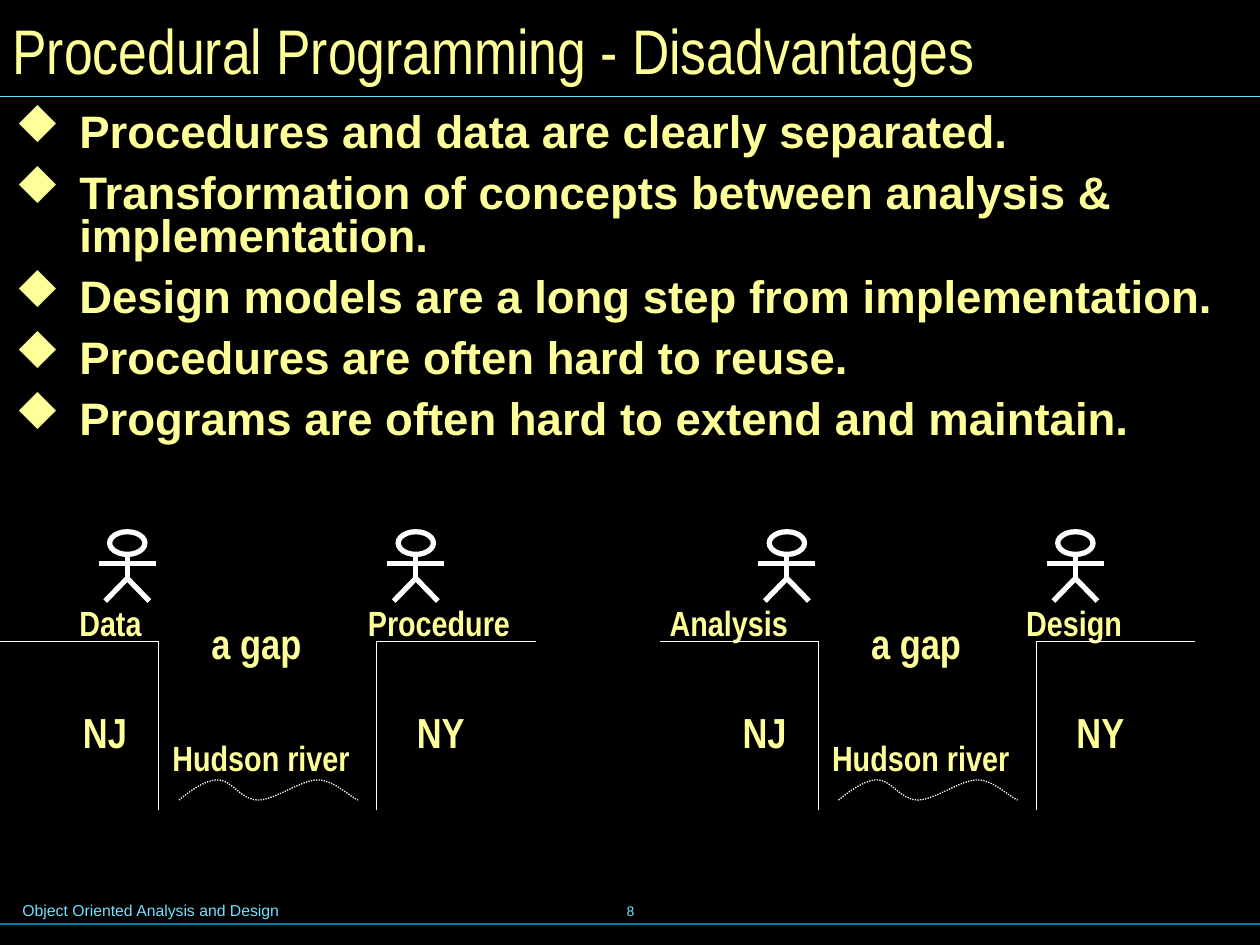
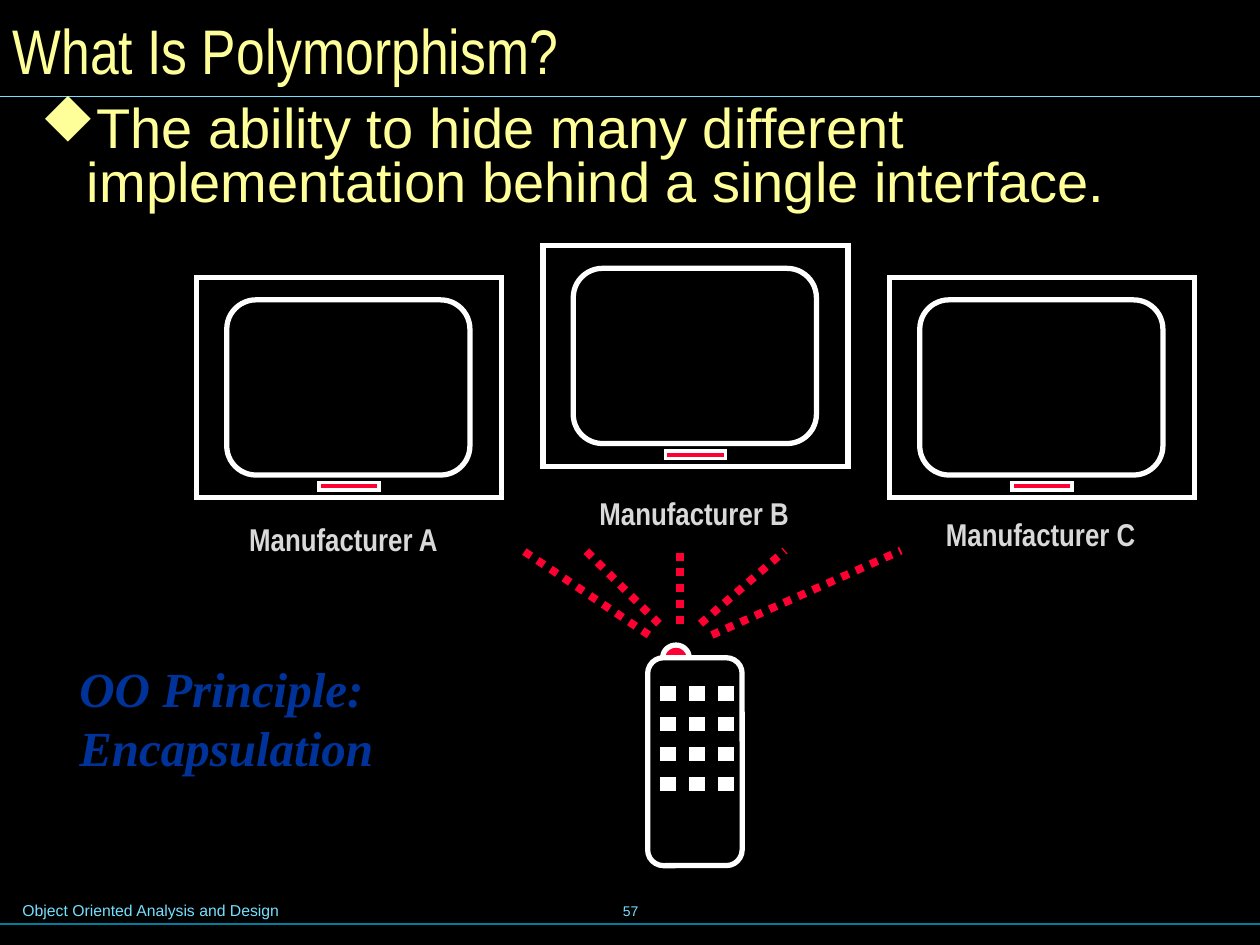
from dataclasses import dataclass
from itertools import product
from math import cos, pi, sin

from lxml.etree import SubElement
from pptx import Presentation
from pptx.dml.color import RGBColor
from pptx.enum.dml import MSO_LINE
from pptx.enum.shapes import MSO_CONNECTOR, MSO_SHAPE
from pptx.enum.text import MSO_ANCHOR, MSO_AUTO_SIZE, PP_ALIGN
from pptx.oxml.ns import qn
from pptx.util import Emu, Pt

COLS, ROWS = 100, 75
CELL = 91440  # one grid cell, a tenth of an inch


def emu(cells):
    return Emu(round(cells * CELL))


@dataclass(frozen=True)
class Theme:
    # Colours
    back: str = "000000"
    text: str = "FFFF99"
    white: str = "FFFFFF"
    sky: str = "73E1FF"
    teal: str = "007E9F"
    red: str = "FF0033"
    grey: str = "D9D9D9"
    blue: str = "003399"
    # Fonts
    sans: str = "Arial"
    slim: str = "Arial Narrow"
    serif: str = "Times New Roman"
    # Bullet: this letter is a solid diamond in the symbol font
    signs: str = "Wingdings"
    mark: str = "u"
    # Type sizes
    title: int = 36
    lead: int = 32
    quote: int = 28
    body: int = 26
    big: int = 24
    label: int = 20
    maker: int = 18
    foot: int = 9
    page: int = 8
    # Line widths
    thin: float = 0.75
    bold: float = 3
    beam: float = 4.5


class Deck:
    def __init__(self, theme):
        self.theme = theme
        self.prs = Presentation()
        self.prs.slide_width, self.prs.slide_height = emu(COLS), emu(ROWS)
        self.slide = self.host = None

    def page(self, title, number):
        """Start a slide with its title, rules and footer."""
        t = self.theme
        self.slide = self.prs.slides.add_slide(self.prs.slide_layouts[5])
        self.host = self.slide.shapes
        fill = self.slide.background.fill
        fill.solid()
        fill.fore_color.rgb = RGBColor.from_string(t.back)

        self.text((0.8, 71, 51, 2.5), "Object Oriented Analysis and Design",
                  t.foot, t.sans, t.sky)
        box = self.text((34.2, 69.8, 31.7, 5), str(number), t.page, t.sans, t.sky)
        box.text_frame.vertical_anchor = MSO_ANCHOR.MIDDLE
        box.text_frame.paragraphs[0].alignment = PP_ALIGN.CENTER
        self.line((0, 73.33), (COLS, 73.33), t.teal, t.thin)
        self.line((0, 7.64), (COLS, 7.64), t.sky, t.thin)

        head = self.slide.shapes.title
        head.left, head.top, head.width, head.height = map(emu, (0, 0, COLS, 7.8))
        frame = self.frame(head, 1, 0.5)
        frame.vertical_anchor = MSO_ANCHOR.MIDDLE
        frame.paragraphs[0].alignment = PP_ALIGN.LEFT
        self.run(frame.paragraphs[0], title, t.title, t.slim, t.text)

    def group(self):
        """Send the next parts to a new group."""
        self.host = self.slide.shapes.add_group_shape().shapes

    def frame(self, shape, side, edge, wrap=True):
        frame = shape.text_frame
        frame.word_wrap = wrap
        frame.auto_size = MSO_AUTO_SIZE.NONE
        frame.margin_left = frame.margin_right = emu(side)
        frame.margin_top = frame.margin_bottom = emu(edge)
        return frame

    def run(self, para, words, size, face, color, bold=False, slant=False):
        run = para.add_run()
        run.text = words
        font = run.font
        font.size, font.name, font.bold, font.italic = Pt(size), face, bold, slant
        font.color.rgb = RGBColor.from_string(color)

    def text(self, place, words, size, face, color, bold=False, slant=False,
             side=1, edge=0.5, wrap=True):
        box = self.host.add_textbox(*map(emu, place))
        para = self.frame(box, side, edge, wrap).paragraphs[0]
        for i, part in enumerate(words.split("\n")):
            if i:
                para.add_line_break()
            self.run(para, part, size, face, color, bold, slant)
        return box

    def label(self, place, words, size, color=None, side=1, edge=0.5):
        t = self.theme
        self.text(place, words, size, t.slim, color or t.text, True,
                  side=side, edge=edge, wrap=False)

    def list(self, place, items, size, hang, gap=0, bold=False):
        t = self.theme
        frame = self.frame(self.host.add_textbox(*map(emu, place)), 1.2, 0.6)
        for i, item in enumerate(items):
            para = frame.add_paragraph() if i else frame.paragraphs[0]
            props = para._p.get_or_add_pPr()
            props.set("marL", str(emu(hang)))
            props.set("indent", str(-emu(hang)))
            tint = SubElement(props, qn("a:buClr"))
            SubElement(tint, qn("a:srgbClr"), val=t.text)
            SubElement(props, qn("a:buFont"), typeface=t.signs, charset="2")
            SubElement(props, qn("a:buChar"), char=t.mark)
            para.line_spacing = 0.8
            para.space_before = Pt(gap if i else 0)
            self.run(para, item, size, t.sans, t.text, bold)

    def stroke(self, shape, color, width, dots=False):
        shape.line.color.rgb = RGBColor.from_string(color)
        shape.line.width = Pt(width)
        if dots:
            shape.line.dash_style = MSO_LINE.ROUND_DOT

    def paint(self, shape, width, fill=None, dots=False):
        shape.shadow.inherit = False
        if fill:
            shape.fill.solid()
            shape.fill.fore_color.rgb = RGBColor.from_string(fill)
        else:
            shape.fill.background()
        self.stroke(shape, self.theme.white, width, dots)
        edge = shape.element.spPr.find(qn("a:ln"))
        SubElement(edge, qn("a:miter"), lim="800000")

    def line(self, start, end, color, width, dots=False):
        link = self.host.add_connector(
            MSO_CONNECTOR.STRAIGHT, *map(emu, (*start, *end)))
        self.stroke(link, color, width, dots)
        SubElement(link.element.spPr, qn("a:effectLst"))

    def shape(self, kind, place, width, fill=None, turn=None):
        shape = self.host.add_shape(kind, *map(emu, place))
        if turn:
            shape.adjustments[0] = turn
        self.paint(shape, width, fill)

    def curve(self, points, width, fill=None, dots=False):
        spots = [(emu(x), emu(y)) for x, y in points]
        pen = self.host.build_freeform(*spots[0])
        pen.add_line_segments(spots[1:], close=False)
        self.paint(pen.convert_to_shape(), width, fill, dots)


def bend(knots, steps=12):
    """Points along joined cubic curves; each third knot lies on the line."""
    out = [knots[0]]
    for k in range(0, len(knots) - 1, 3):
        for step in range(1, steps + 1):
            u = step / steps
            mix = ((1 - u) ** 3, 3 * u * (1 - u) ** 2, 3 * u * u * (1 - u), u ** 3)
            out.append(tuple(sum(m * p[axis] for m, p in zip(mix, knots[k:k + 4]))
                             for axis in (0, 1)))
    return out


def man(deck, x):
    """Stick figure centred on column x."""
    t = deck.theme
    deck.shape(MSO_SHAPE.OVAL, (x - 1.4, 42.2, 2.8, 1.8), t.bold)
    deck.line((x, 44), (x, 46), t.white, t.bold)
    deck.line((x - 2.25, 44.7), (x + 2.25, 44.7), t.white, t.bold)
    deck.curve([(x - 1.75, 47.7), (x, 45.9), (x + 1.75, 47.7)], t.bold)


def gap(deck, x, left, right):
    """Two banks with a river between; each bank is (name, offset, width)."""
    t = deck.theme
    deck.group()
    for (name, shift, wide), mid, shore, end in (
            (left, 10.1, 12.6, 0), (right, 33, 29.9, 42.5)):
        man(deck, x + mid)
        deck.label((x + shift, 47.7, wide, 3.3), name, t.label, side=0, edge=0)
        deck.line((x + shore, 50.9), (x + end, 50.9), t.white, t.thin)
        deck.line((x + shore, 50.9), (x + shore, 64.3), t.white, t.thin)
    deck.label((x + 12.7, 58, 16.1, 4.4), "Hudson river", t.label)
    wave = [(14.2, 63.5), (15.2, 62.7), (16.3, 61.9), (17.3, 61.9), (18.4, 61.9),
            (19.1, 63.5), (20.5, 63.5), (21.8, 63.5), (23.9, 61.9), (25.2, 61.9),
            (26.5, 61.9), (27.7, 63.2), (28.4, 63.5)]
    deck.curve(bend([(x + a, b) for a, b in wave]), t.thin, dots=True)
    for name, shift, top, wide in (("NJ", 5.6, 55.6, 5.5), ("NY", 32.1, 55.6, 5.8),
                                   ("a gap", 15.8, 48.5, 9.1)):
        deck.label((x + shift, top, wide, 5), name, t.big)


def screen(deck, x, y):
    """Television set with its top left corner at x, y."""
    t = deck.theme
    deck.shape(MSO_SHAPE.RECTANGLE, (x, y, 24.2, 17.5), t.bold)
    deck.shape(MSO_SHAPE.ROUNDED_RECTANGLE, (x + 2.4, y + 1.8, 19.3, 13.9),
               t.bold, turn=0.167)
    deck.shape(MSO_SHAPE.RECTANGLE, (x + 9.7, y + 16.3, 4.8, 0.6), 2, t.red)


def remote(deck):
    """Remote control with its lamp and keys."""
    t = deck.theme
    arc = [pi * (1 + i / 24) for i in range(25)]
    deck.curve([(53.65 + 1.05 * cos(a), 52.2 + sin(a)) for a in arc], t.bold, t.red)
    deck.shape(MSO_SHAPE.ROUNDED_RECTANGLE, (51.4, 52.2, 7.5, 16.5),
               t.bold, turn=0.167)
    for row, col in product(range(4), range(3)):
        deck.shape(MSO_SHAPE.RECTANGLE,
                   (52.45 + 2.3 * col, 54.55 + 2.4 * row, 1.1, 1), 1, t.white)


def main():
    t = Theme()
    deck = Deck(t)

    # Drawbacks of procedures
    deck.page("Procedural Programming - Disadvantages", 8)
    deck.list((0, 8.4, COLS, 30.7), (
        "Procedures and data are clearly separated.",
        "Transformation of concepts between analysis & implementation.",
        "Design models are a long step from implementation.",
        "Procedures are often hard to reuse.",
        "Programs are often hard to extend and maintain.",
    ), t.body, 5.1, gap=9.8, bold=True)
    gap(deck, 0, ("Data", 6.3, 5), ("Procedure", 29.2, 11.3))
    gap(deck, 52.35, ("Analysis", 0.8, 9.4), ("Design", 29.1, 7.6))

    # Polymorphism
    deck.page("What Is Polymorphism?", 57)
    deck.group()
    remote(deck)
    for name, x, y, left, top in (("A", 15.6, 22, 18.8, 40.8),
                                  ("B", 43.1, 19.5, 46.6, 38.7),
                                  ("C", 70.6, 22, 74.1, 40.4)):
        screen(deck, x, y)
        deck.label((left, top, 17, 4), f"Manufacturer {name}", t.maker, t.grey)
    for x, y, end in ((51.5, 50.4, 41.5), (52.3, 49.5, 46.5), (54, 49.5, 54),
                      (55.6, 49.5, 62.3), (56.5, 50.4, 71.5)):
        deck.line((x, y), (end, 43.7), t.red, t.beam, dots=True)
    deck.host = deck.slide.shapes
    deck.text((5.1, 51.7, 45.8, 10.5), "OO Principle:\nEncapsulation",
              t.quote, t.serif, t.blue, True, True, 1.2, 0.6)
    deck.list((2, 7.8, 96.1, 60.4), (
        "The ability to hide many different implementation "
        "behind a single interface.",), t.lead, 3.7)

    deck.prs.save("out.pptx")


if __name__ == "__main__":
    main()
